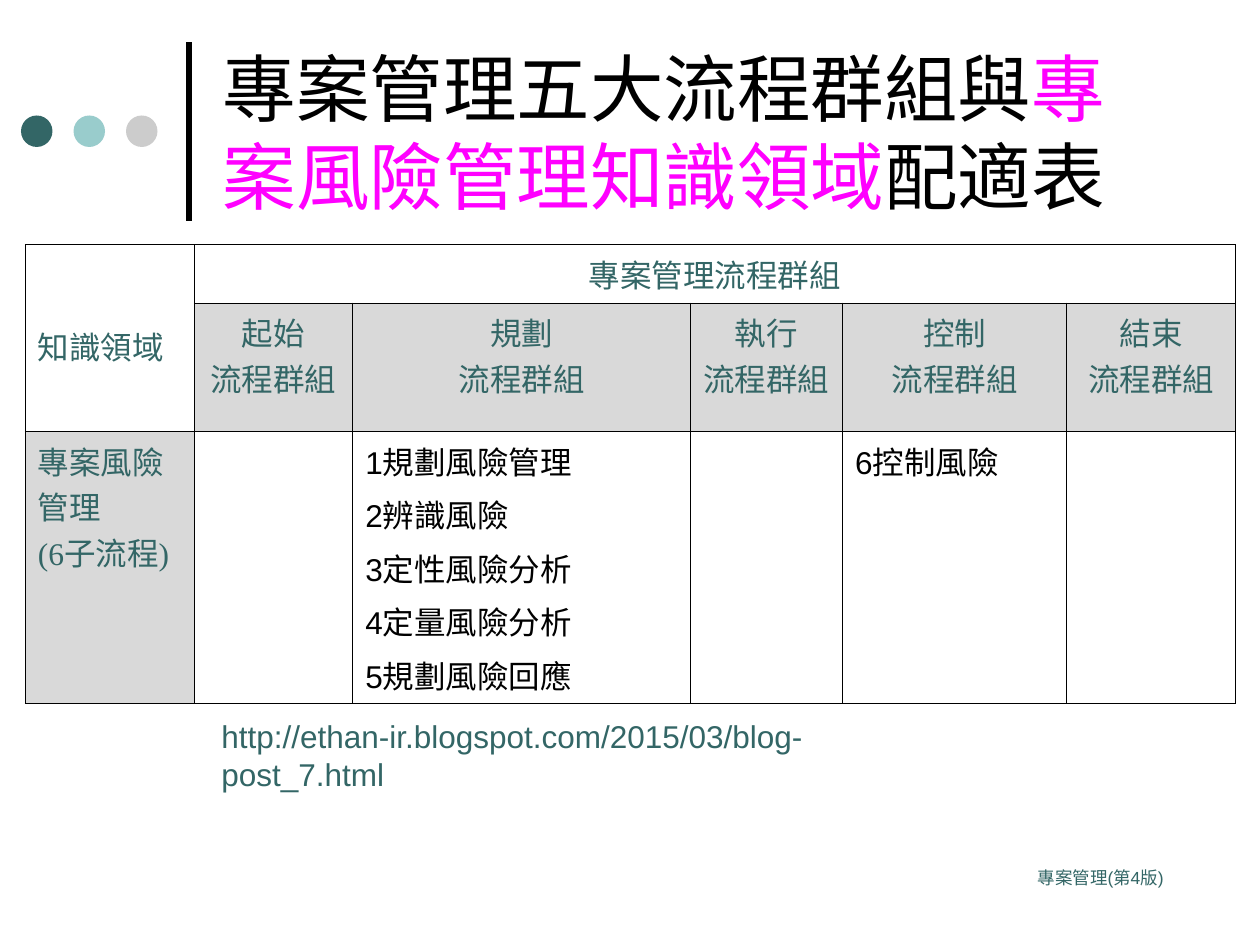
from lxml.etree import SubElement
from pptx import Presentation
from pptx.dml.color import RGBColor
from pptx.enum.shapes import MSO_CONNECTOR as Connector, MSO_SHAPE as Shape
from pptx.enum.text import MSO_ANCHOR as Anchor, MSO_AUTO_SIZE as AutoSize, PP_ALIGN as Align
from pptx.oxml.ns import qn
from pptx.util import Inches, Pt

BLACK = RGBColor(0x00, 0x00, 0x00)
TEAL = RGBColor(0x33, 0x66, 0x66)
AQUA = RGBColor(0x99, 0xCC, 0xCC)
SILVER = RGBColor(0xCC, 0xCC, 0xCC)
MAGENTA = RGBColor(0xFF, 0x00, 0xFF)
SHADE = RGBColor(0xD9, 0xD9, 0xD9)

# The slide is a grid of 24 columns and 18 rows of square units
WIDTH, HEIGHT = Inches(10), Inches(7.5)
UNIT = WIDTH / 24

COLUMNS = [3.22, 3.02, 6.43, 2.9, 4.27, 3.22]
ROWS = [0.96, 2.45, 4.44]
GROUPS = ["起始", "規劃", "執行", "控制", "結束"]
PLANNING = ["1規劃風險管理", "2辨識風險", "3定性風險分析", "4定量風險分析", "5規劃風險回應"]


def grid(*units):
    return [round(unit * UNIT) for unit in units]


def set_font(para, size, name, color):
    para.font.size = Pt(size)
    para.font.name = name
    para.font.color.rgb = color


def add_bar(page, x, bottom, top):
    bar = page.shapes.add_connector(Connector.STRAIGHT, *grid(x, bottom, x, top))
    bar.line.color.rgb = BLACK
    bar.line.width = Pt(3)
    SubElement(bar._element.spPr, qn("a:effectLst"))


def add_dot(page, x, y, size, color):
    dot = page.shapes.add_shape(Shape.OVAL, *grid(x, y, size, size))
    dot.shadow.inherit = False
    dot.fill.solid()
    dot.fill.fore_color.rgb = color
    dot.line.fill.background()


def add_text(page, area, text, size, align=Align.LEFT):
    box = page.shapes.add_textbox(*grid(*area))
    box.text_frame.word_wrap = True
    para = box.text_frame.paragraphs[0]
    para.text = text
    para.alignment = align
    set_font(para, size, "Arial", TEAL)
    return box


def set_title(page, area, parts):
    title = page.shapes.title
    title.left, title.top, title.width, title.height = grid(*area)
    frame = title.text_frame
    frame.auto_size = AutoSize.NONE
    frame.vertical_anchor = Anchor.MIDDLE
    para = frame.paragraphs[0]
    para.alignment = Align.LEFT
    para.font.size = Pt(42)
    para.font.name = "Arial"
    for text, color in parts:
        span = para.add_run()
        span.text = text
        span.font.color.rgb = color


def style_cell(cell, fill=None):
    props = cell._tc.get_or_add_tcPr()
    for side in ("lnL", "lnR", "lnT", "lnB"):
        line = SubElement(props, qn(f"a:{side}"), w=str(Pt(0.45)))
        SubElement(SubElement(line, qn("a:solidFill")), qn("a:srgbClr"), val=str(BLACK))
    if fill is None:
        cell.fill.background()
    else:
        cell.fill.solid()
        cell.fill.fore_color.rgb = fill


def fill_cell(cell, lines, align=Align.LEFT, name="Times New Roman", color=TEAL, gap=0):
    frame = cell.text_frame
    for index, text in enumerate(lines):
        para = frame.add_paragraph() if index else frame.paragraphs[0]
        para.text = text
        para.alignment = align
        props = para._p.get_or_add_pPr()
        props.set("marL", str(Inches(0.38)))
        props.set("indent", str(-Inches(0.38)))
        if index and gap:
            para.space_before = Pt(gap)
        set_font(para, 18, name, color)


def add_process_table(page, left, top):
    area = grid(left, top, sum(COLUMNS), sum(ROWS))
    table = page.shapes.add_table(len(ROWS), len(COLUMNS), *area).table
    for column, width in zip(table.columns, grid(*COLUMNS)):
        column.width = width
    for row, height in zip(table.rows, grid(*ROWS)):
        row.height = height

    # Shade the process groups and the knowledge area
    for r in range(len(ROWS)):
        for c in range(len(COLUMNS)):
            shaded = (r == 1 and c > 0) or (r == 2 and c == 0)
            style_cell(table.cell(r, c), SHADE if shaded else None)

    # Headings
    corner = table.cell(0, 0)
    corner.merge(table.cell(1, 0))
    corner.vertical_anchor = Anchor.MIDDLE
    corner.margin_top = Inches(0.17)
    fill_cell(corner, ["知識領域"])
    table.cell(0, 1).merge(table.cell(0, len(COLUMNS) - 1))
    fill_cell(table.cell(0, 1), ["專案管理流程群組"], Align.CENTER)
    for c, group in enumerate(GROUPS, start=1):
        fill_cell(table.cell(1, c), [group, "流程群組"], Align.CENTER)

    # Processes of the knowledge area
    fill_cell(table.cell(2, 0), ["專案風險", "管理", "(6子流程)"])
    fill_cell(table.cell(2, 2), PLANNING, name="Arial", color=BLACK, gap=4.5)
    fill_cell(table.cell(2, 4), ["6控制風險"], name="Arial", color=BLACK)


def main():
    deck = Presentation()
    deck.slide_width, deck.slide_height = WIDTH, HEIGHT
    page = deck.slides.add_slide(deck.slide_layouts[5])

    # Decoration beside the title
    add_bar(page, 3.6, 4.2, 0.8)
    for index, color in enumerate([TEAL, AQUA, SILVER]):
        add_dot(page, 0.4 + index, 2.2, 0.6, color)

    # Title, table, source and footer
    set_title(page, (4, 0.5, 18.4, 4), [
        ("專案管理五大流程群組與", BLACK),
        ("專案風險管理知識領域", MAGENTA),
        ("配適表", BLACK),
    ])
    add_process_table(page, 0.48, 4.66)
    link = add_text(page, (3.98, 13.54, 13.42, 1.68),
                    "http://ethan-ir.blogspot.com/2015/03/blog-post_7.html", 18)
    link.text_frame.auto_size = AutoSize.SHAPE_TO_FIT_TEXT
    add_text(page, (17.4, 16.4, 5, 1.2), "專案管理(第4版)", 10, Align.RIGHT)

    deck.save("out.pptx")


if __name__ == "__main__":
    main()
